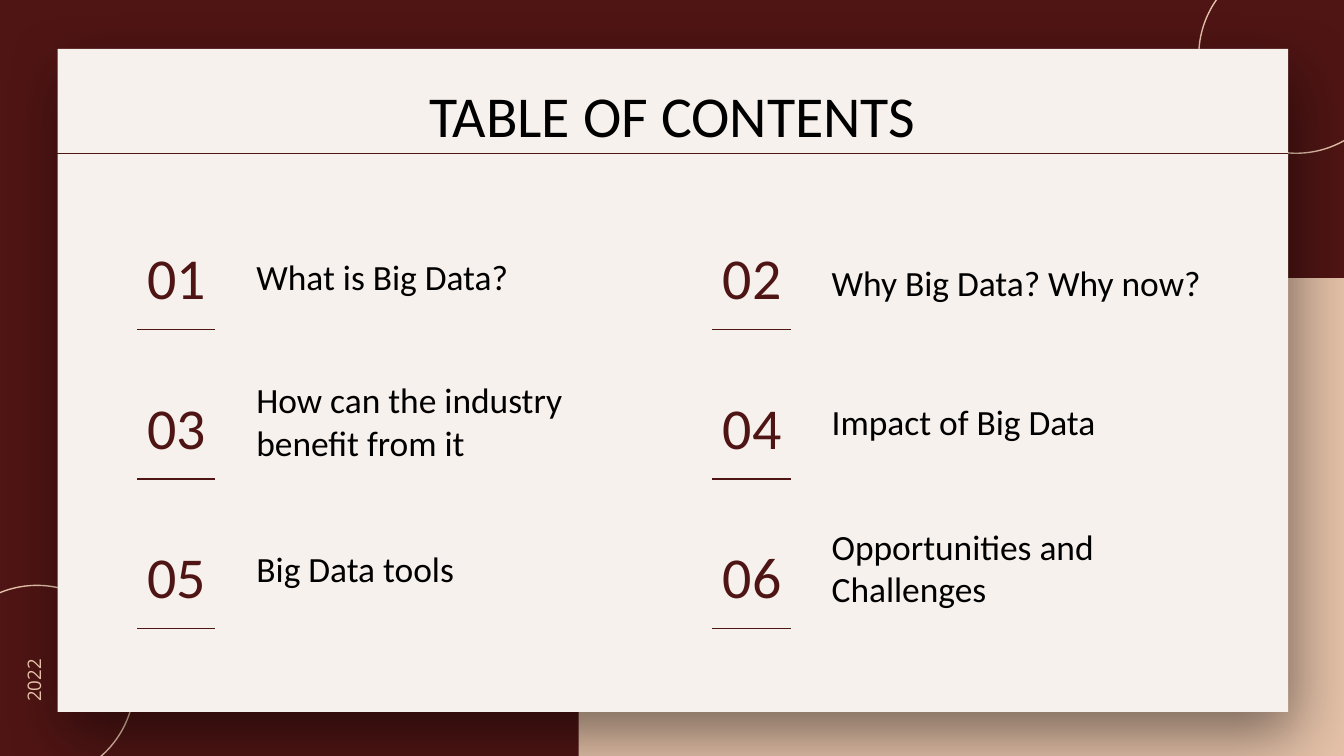
from lxml import etree
from pptx import Presentation
from pptx.dml.color import RGBColor
from pptx.enum import shapes, text
from pptx.oxml import ns
from pptx.util import Pt

# Content: number, topic, box offset from the row top, box width, box height, line spacing
TITLE = "TABLE OF CONTENTS"
YEAR = "2022"
TOPICS = [
    ("01", "What is Big Data?", 0, 227, 54.7, 1.15),
    ("02", "Why Big Data? Why now?", 5.8, 241, 53.3, 1),
    ("03", "How can the industry benefit from it", -1.4, 227, 56.2, 1),
    ("04", "Impact of Big Data", -1.4, 227, 56.2, 1),
    ("05", "Big Data tools", -1.4, 227, 54.7, 1),
    ("06", "Opportunities and Challenges", -1.4, 227, 53.3, 1),
]
WINE, SAND, CREAM, BLACK = "4F1514", "E4C1A8", "F7F1ED", "000000"

# Grid of topics, in points
COLUMNS = 2
GRID_LEFT, GRID_TOP = 67, 122.4
COLUMN_STEP, ROW_STEP = 308.2, 80
NUMBER_WIDTH, NUMBER_HEIGHT = 55.4, 53.3
TOPIC_INDENT = 63.3
RULE_INDENT, RULE_DROP, RULE_LENGTH = 6.5, 54.3, 41.8

deck = Presentation()
deck.slide_width, deck.slide_height = Pt(720), Pt(405)
slide = deck.slides.add_slide(deck.slide_layouts[6])


def color(value):
    return RGBColor.from_string(value)


def add_panel(kind, left, top, width, height, fill=None, line=None):
    panel = slide.shapes.add_shape(kind, Pt(left), Pt(top), Pt(width), Pt(height))
    panel.shadow.inherit = False
    if fill:
        panel.fill.solid()
        panel.fill.fore_color.rgb = color(fill)
    else:
        panel.fill.background()
    if line:
        panel.line.color.rgb = color(line)
        panel.line.width = Pt(0.75)
    else:
        panel.line.fill.background()
    return panel


def add_shadow(panel, tint, opacity, blur, distance, angle):
    effects = panel._element.spPr.find(ns.qn("a:effectLst"))
    shadow = etree.SubElement(
        effects, ns.qn("a:outerShdw"), blurRad=str(Pt(blur)), dist=str(Pt(distance)),
        dir=str(angle * 60000), algn="ctr", rotWithShape="0")
    shade = etree.SubElement(shadow, ns.qn("a:srgbClr"), val=tint)
    etree.SubElement(shade, ns.qn("a:alpha"), val=str(opacity * 1000))


def add_text(words, left, top, width, height, size=19, tint=BLACK, font="Calibri",
             align=text.PP_ALIGN.LEFT, anchor=text.MSO_ANCHOR.TOP,
             inset_top=7.2, spacing=1, rotation=0):
    box = slide.shapes.add_textbox(Pt(left), Pt(top), Pt(width), Pt(height))
    box.rotation = rotation
    frame = box.text_frame
    frame.word_wrap = True
    frame.vertical_anchor = anchor
    frame.margin_left = frame.margin_right = frame.margin_bottom = Pt(7.2)
    frame.margin_top = Pt(inset_top)
    paragraph = frame.paragraphs[0]
    paragraph.alignment = align
    paragraph.line_spacing = spacing
    run = paragraph.add_run()
    run.text = words
    run.font.size = Pt(size)
    run.font.name = font
    run.font.color.rgb = color(tint)


def add_rule(left, y, length):
    rule = slide.shapes.add_connector(
        shapes.MSO_CONNECTOR.STRAIGHT, Pt(left), Pt(y), Pt(left + length), Pt(y))
    rule.line.color.rgb = color(WINE)
    rule.line.width = Pt(0.75)
    etree.SubElement(rule._element.spPr, ns.qn("a:effectLst"))


# Background, corner circles and panels
slide.background.fill.solid()
slide.background.fill.fore_color.rgb = color(WINE)
for left, top in [(642.2, -22.3), (-32.4, 313.6)]:
    add_panel(shapes.MSO_SHAPE.FLOWCHART_CONNECTOR, left, top, 104.4, 104.4, line=SAND)
add_panel(shapes.MSO_SHAPE.RECTANGLE, 310, 149, 410, 256, fill=SAND)
card = add_panel(shapes.MSO_SHAPE.RECTANGLE, 30.8, 26.2, 659.3, 355.2, fill=CREAM)
add_shadow(card, BLACK, 45, 33.8, 12.8, 70)

# Heading
add_text(TITLE, 56.2, 42.5, 607.7, 39.6, size=31, align=text.PP_ALIGN.CENTER, inset_top=0)
add_rule(30.8, 82.2, 659.3)

# Numbered topics
for index, (number, topic, offset, width, height, spacing) in enumerate(TOPICS):
    row, column = divmod(index, COLUMNS)
    left = GRID_LEFT + column * COLUMN_STEP
    top = GRID_TOP + row * ROW_STEP
    add_text(number, left, top, NUMBER_WIDTH, NUMBER_HEIGHT, size=31, tint=WINE,
             align=text.PP_ALIGN.CENTER)
    add_text(topic, left + TOPIC_INDENT, top + offset, width, height, spacing=spacing,
             anchor=text.MSO_ANCHOR.MIDDLE, inset_top=0)
    add_rule(left + RULE_INDENT, top + RULE_DROP, RULE_LENGTH)

# Year along the left edge
add_text(YEAR, 0, 352, 38.9, 23, size=10, tint=SAND, font="Open Sans",
         spacing=0.9, rotation=270)

deck.save("out.pptx")
